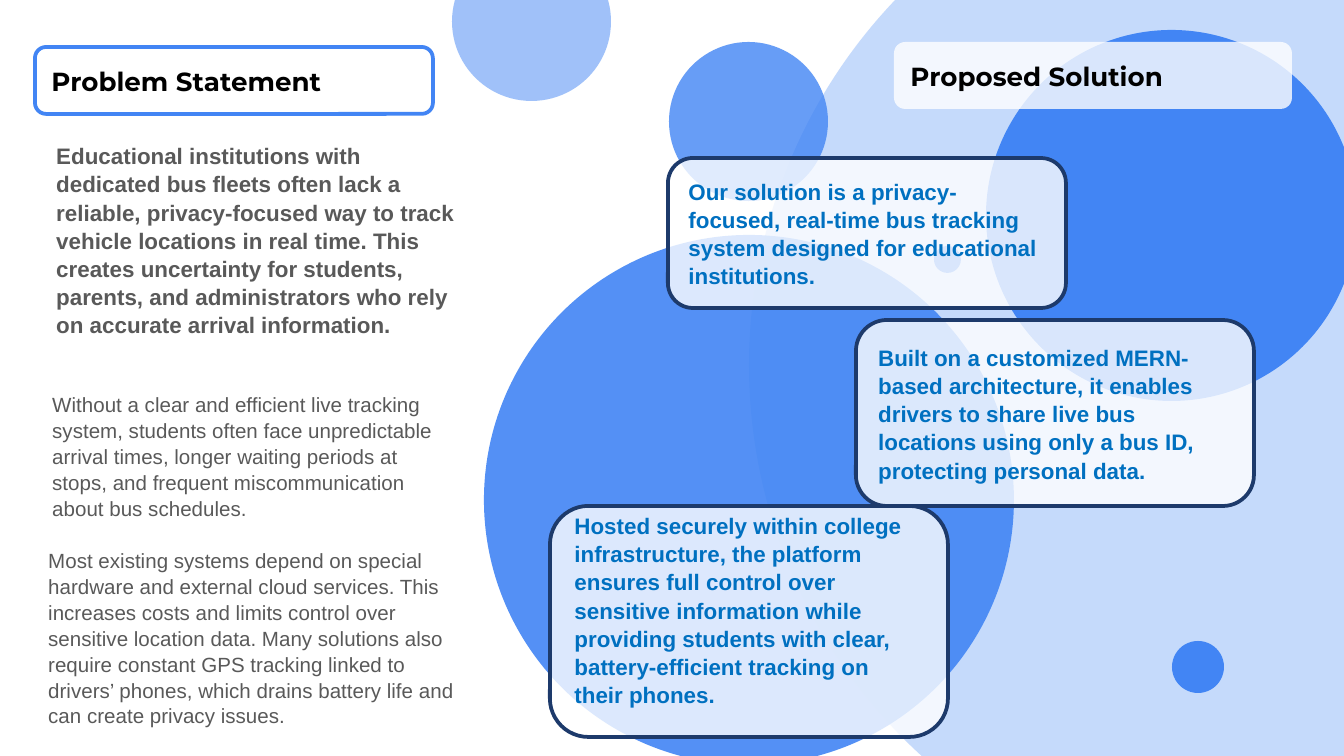
from lxml import etree
from pptx import Presentation
from pptx import util as u
from pptx.dml.color import RGBColor
from pptx.enum import shapes, text
from pptx.oxml.ns import qn

PX = 914400 / 134.4
BLUE, NAVY, WHITE = "4285F4", "1D3A6B", "FFFFFF"
GREY, ACCENT, BLACK = "595959", "0070C0", "000000"
BOX_WIDTH, TEXT_WIDTH = 398, 433
INSET = 7

# left, top, diameter, opacity in percent
CIRCLES = [
    (749, -164, 1058, 30),
    (484, 235, 530, 90),
    (452, -58, 159, 50),
    (669, 42, 159, 80),
    (986, 30, 371, 100),
    (934, 246, 27, 100),
    (1172, 641, 52, 100),
]

# left, top, height, inset, size, bold, wording
PROBLEMS = [
    (43, 128, 215, 13, 12, True,
     "Educational institutions with dedicated bus fleets often lack a reliable, "
     "privacy-focused way to track vehicle locations in real time. This creates "
     "uncertainty for students, parents, and administrators who rely on accurate "
     "arrival information."),
    (39, 384, 138, INSET, 11, False,
     "Without a clear and efficient live tracking system, students often face "
     "unpredictable arrival times, longer waiting periods at stops, and frequent "
     "miscommunication about bus schedules."),
    (35, 540, 212, INSET, 11, False,
     "Most existing systems depend on special hardware and external cloud services. "
     "This increases costs and limits control over sensitive location data. Many "
     "solutions also require constant GPS tracking linked to drivers’ phones, which "
     "drains battery life and can create privacy issues."),
]

# left, top, height, bottom inset, wording
SOLUTIONS = [
    (668, 158, 150, INSET,
     "Our solution is a privacy-focused, real-time bus tracking system designed "
     "for educational institutions."),
    (856, 320, 186, INSET,
     "Built on a customized MERN-based architecture, it enables drivers to share "
     "live bus locations using only a bus ID, protecting personal data."),
    (550, 506, 231, 31,
     "Hosted securely within college infrastructure, the platform ensures full "
     "control over sensitive information while providing students with clear, "
     "battery-efficient tracking on their phones."),
]

# left, top, line colour, wording
HEADINGS = [
    (35, 47, BLUE, "Problem Statement"),
    (894, 42, None, "Proposed Solution"),
]


def px(value):
    return u.Emu(round(value * PX))


def color(value):
    return RGBColor.from_string(value)


def add_shape(kind, left, top, width, height, fill, opacity, line=None):
    shape = slide.shapes.add_shape(kind, px(left), px(top), px(width), px(height))
    shape.shadow.inherit = False
    shape.fill.solid()
    shape.fill.fore_color.rgb = color(fill)
    if opacity < 100:
        fill_color = shape.fill._xPr.find(qn("a:solidFill"))[0]
        etree.SubElement(fill_color, qn("a:alpha"), val=str(opacity * 1000))
    if line:
        shape.line.color.rgb = color(line)
        shape.line.width = u.Pt(2)
    else:
        shape.line.fill.background()
    return shape


def write(shape, wording, size, font, ink, bold, anchor, inset=INSET, bottom=None):
    frame = shape.text_frame
    frame.word_wrap = True
    frame.vertical_anchor = anchor
    frame.margin_left = frame.margin_right = u.Inches(0.1)
    frame.margin_top = px(inset)
    frame.margin_bottom = px(inset if bottom is None else bottom)
    paragraph = frame.paragraphs[0]
    paragraph.alignment = text.PP_ALIGN.LEFT
    paragraph.line_spacing = 1.05
    run = paragraph.add_run()
    run.text = wording
    run.font.size = u.Pt(size)
    run.font.name = font
    run.font.bold = bold
    run.font.color.rgb = color(ink)


presentation = Presentation()
presentation.slide_width, presentation.slide_height = px(1344), px(756)
slide = presentation.slides.add_slide(presentation.slide_layouts[6])
OVAL = shapes.MSO_SHAPE.OVAL
ROUNDED = shapes.MSO_SHAPE.ROUNDED_RECTANGLE
TOP, MIDDLE = text.MSO_ANCHOR.TOP, text.MSO_ANCHOR.MIDDLE

# Background circles
for left, top, diameter, opacity in CIRCLES:
    add_shape(OVAL, left, top, diameter, diameter, BLUE, opacity)

# Problem paragraphs
for left, top, height, inset, size, bold, wording in PROBLEMS:
    box = slide.shapes.add_textbox(px(left), px(top), px(TEXT_WIDTH), px(height))
    write(box, wording, size, "Arial", GREY, bold, TOP, inset)

# Solution cards
for left, top, height, bottom, wording in SOLUTIONS:
    card = add_shape(ROUNDED, left, top, BOX_WIDTH, height, WHITE, 80, NAVY)
    write(card, wording, 12, "Arial", ACCENT, True, MIDDLE, bottom=bottom)

# Headings
for left, top, line, wording in HEADINGS:
    heading = add_shape(ROUNDED, left, top, BOX_WIDTH, 67, WHITE, 80, line)
    write(heading, wording, 14, "Montserrat", BLACK, True, MIDDLE)

presentation.save("out.pptx")
